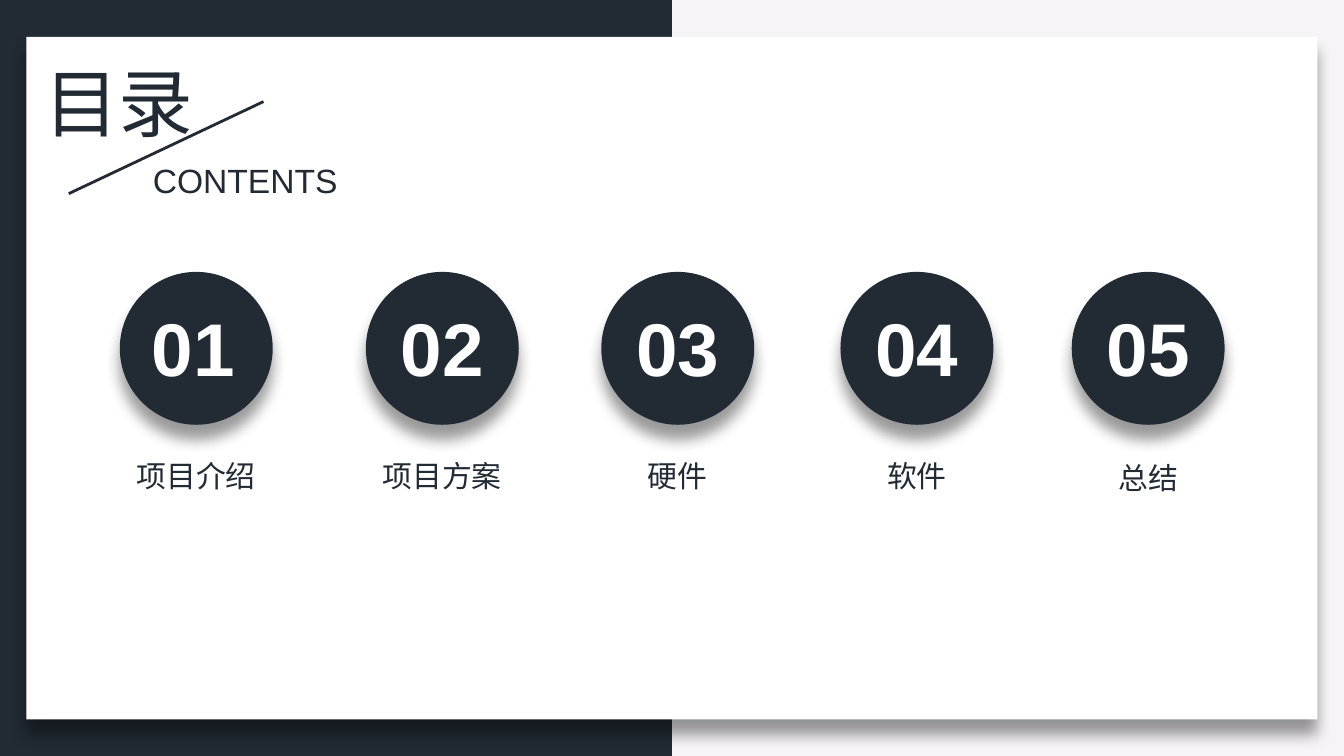
from lxml import etree
from pptx import Presentation
from pptx.dml.color import RGBColor
from pptx.enum.shapes import MSO_CONNECTOR, MSO_SHAPE
from pptx.enum.text import MSO_ANCHOR, MSO_AUTO_SIZE, PP_ALIGN
from pptx.oxml import parse_xml
from pptx.oxml.ns import nsdecls, qn
from pptx.util import Cm, Pt

RECT, OVAL = MSO_SHAPE.RECTANGLE, MSO_SHAPE.OVAL
STRAIGHT = MSO_CONNECTOR.STRAIGHT
LEFT, CENTER = PP_ALIGN.LEFT, PP_ALIGN.CENTER
TOP, GROW = MSO_ANCHOR.TOP, MSO_AUTO_SIZE.SHAPE_TO_FIT_TEXT

NAVY = RGBColor(0x22, 0x2B, 0x34)
WHITE = RGBColor(0xFF, 0xFF, 0xFF)
PALE = RGBColor(0xF6, 0xF4, 0xF7)
CJK_FONT = "Noto Sans CJK SC"

SHADOW = (
    f'<a:effectLst {nsdecls("a")}><a:outerShdw blurRad="{Pt(8)}" dist="{Pt(8)}" '
    'dir="5400000" algn="t" rotWithShape="0"><a:srgbClr val="000000">'
    '<a:alpha val="40000"/></a:srgbClr></a:outerShdw></a:effectLst>'
)


class SlideBuilder:
    def __init__(self, slide):
        self.slide = slide
        slide.background.fill.solid()
        slide.background.fill.fore_color.rgb = PALE

    def shape(self, kind, left, top, width, height, color, shadow=False):
        shape = self.slide.shapes.add_shape(
            kind, Cm(left), Cm(top), Cm(width), Cm(height))
        shape.fill.solid()
        shape.fill.fore_color.rgb = color
        shape.line.fill.background()
        shape.shadow.inherit = False
        if shadow:
            properties = shape.element.spPr
            properties.remove(properties.find(qn("a:effectLst")))
            properties.append(parse_xml(SHADOW))

    def line(self, start, end):
        line = self.slide.shapes.add_connector(
            STRAIGHT, *(Cm(value) for value in start + end))
        line.line.color.rgb = NAVY
        line.line.width = Pt(1.5)
        etree.SubElement(line.element.spPr, qn("a:effectLst"))

    def add_text(self, box, text, size, font, color=NAVY, align=LEFT,
                 bold=False):
        frame = box.text_frame
        frame.word_wrap = False
        frame.auto_size = GROW
        frame.vertical_anchor = TOP
        paragraph = frame.paragraphs[0]
        paragraph.alignment = align
        paragraph.line_spacing = 1.0
        paragraph.space_before = Pt(0)
        run = paragraph.add_run()
        run.text = text
        run.font.size = Pt(size)
        run.font.name = font
        run.font.bold = bold
        run.font.color.rgb = color
        if not text.isascii():
            for properties in box.element.iter(qn("a:rPr")):
                east_asian = etree.SubElement(properties, qn("a:ea"))
                east_asian.set("typeface", CJK_FONT)

    def text(self, left, top, width, height, *content, **style):
        box = self.slide.shapes.add_textbox(
            Cm(left), Cm(top), Cm(width), Cm(height))
        self.add_text(box, *content, **style)

    def title(self, left, top, width, height, *content):
        title = self.slide.shapes.title
        title.left, title.top = Cm(left), Cm(top)
        title.width, title.height = Cm(width), Cm(height)
        self.add_text(title, *content)
        # Bring the heading in front of the panels
        title.element.getparent().append(title.element)


deck = Presentation()
deck.slide_width, deck.slide_height = Cm(25.4), Cm(14.29)
page = SlideBuilder(deck.slides.add_slide(deck.slide_layouts[5]))

# Backdrop and white panel
page.shape(RECT, 0, 0, 12.7, 14.29, NAVY)
page.shape(RECT, 0.5, 0.7, 24.4, 12.9, WHITE, shadow=True)

# Heading
page.title(0.58, 0.94, 3.35, 1.96, "目录", 40, "Calibri")
page.line((4.98, 1.92), (1.3, 3.66))
page.text(2.64, 2.9, 4.04, 1.02, "CONTENTS", 18, "Arial")

# Chapters: circle centre, number centre, label, label width, label top
DIAMETER, NUMBER_WIDTH = 2.89, 2.11
chapters = [
    (3.71, 3.65, "项目介绍", 2.79, 8.53),
    (8.36, 8.36, "项目方案", 2.79, 8.53),
    (12.81, 12.81, "硬件", 1.65, 8.53),
    (17.33, 17.33, "软件", 1.65, 8.53),
    (21.7, 21.7, "总结", 2.57, 8.57),
]
for index, (center, number_center, label, width, top) in enumerate(chapters, 1):
    page.shape(OVAL, center - DIAMETER / 2, 5.14, DIAMETER, DIAMETER, NAVY,
               shadow=True)
    page.text(number_center - NUMBER_WIDTH / 2, 5.59, NUMBER_WIDTH, 1.96,
              f"{index:02}", 40, "Arial", color=WHITE, align=CENTER, bold=True)
    page.text(center - width / 2, top, width, 0.94, label, 16, CJK_FONT,
              align=CENTER)

deck.save("out.pptx")
